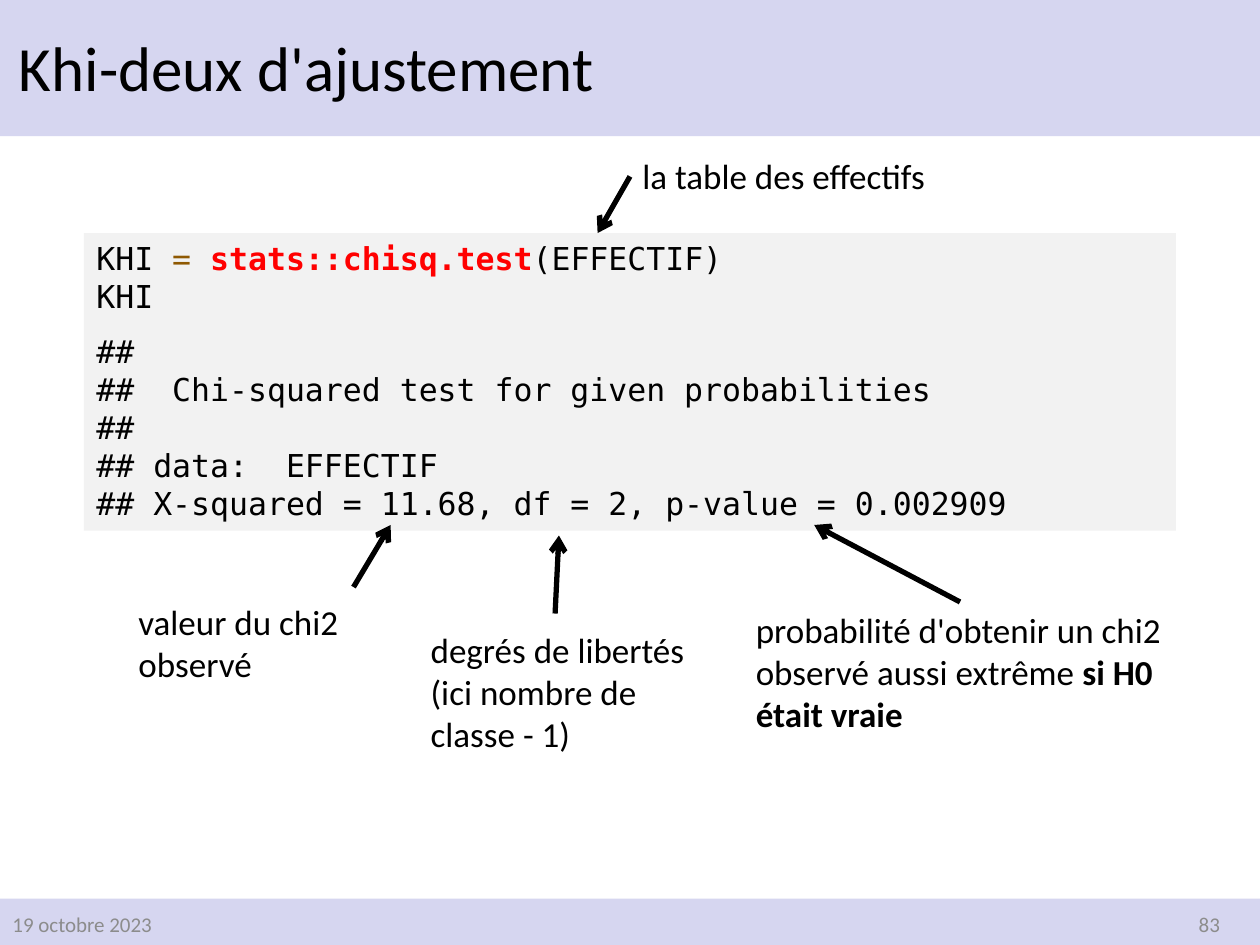
from dataclasses import dataclass

from lxml import etree
from pptx import Presentation
from pptx.dml.color import RGBColor
from pptx.enum.shapes import MSO_CONNECTOR, MSO_SHAPE
from pptx.enum.text import MSO_ANCHOR, PP_ALIGN
from pptx.oxml.ns import qn
from pptx.util import Pt

RECTANGLE = MSO_SHAPE.RECTANGLE
STRAIGHT = MSO_CONNECTOR.STRAIGHT
TOP, MIDDLE = MSO_ANCHOR.TOP, MSO_ANCHOR.MIDDLE
LEFT, RIGHT = PP_ALIGN.LEFT, PP_ALIGN.RIGHT
TITLE_ONLY = 5


@dataclass(frozen=True)
class Theme:
    font: str = "Calibri"
    code_font: str = "DejaVu Sans Mono"
    text: str = "000000"
    band: str = "D6D6F0"
    panel: str = "F2F2F2"
    footer: str = "8C8C8C"
    operator: str = "8F5902"
    function: str = "FF0000"
    title_size: int = 36
    note_size: int = 20
    code_size: int = 18
    footer_size: int = 12
    arrow_width: int = 3


THEME = Theme()
WIDTH, HEIGHT = 720, 540
HEADER_HEIGHT, FOOTER_TOP = 77.75, 513.5

TITLE = "Khi-deux d'ajustement"
TITLE_BOX = (3.6, 5, 618.5, 71.3)
BANDS = [(0, 0, WIDTH, HEADER_HEIGHT),
         (0, FOOTER_TOP, WIDTH, HEIGHT - FOOTER_TOP)]
FOOTERS = [("19 octobre 2023", 0, LEFT), ("83", 542.2, RIGHT)]
FOOTER_SIZE = (162, 28.75)

# Each paragraph is a list of lines, each line a list of (text, colour, bold).
CODE = [
    [[("KHI ", THEME.text, False), ("= ", THEME.operator, False),
      ("stats::chisq.test", THEME.function, True),
      ("(EFFECTIF)", THEME.text, False)],
     [("KHI", THEME.text, False)]],
    [[(line, THEME.text, False)] for line in (
        "##",
        "##  Chi-squared test for given probabilities",
        "##",
        "## data:  EFFECTIF",
        "## X-squared = 11.68, df = 2, p-value = 0.002909")],
]
CODE_BOX = (48, 133.2, 624, 170)

# Runs as (text, bold), box, wrap, arrow start, arrow end
NOTES = [
    ([("la table des effectifs", False)],
     (360, 85, 182, 31.5), False, (360, 100.8), (341.5, 133.2)),
    ([("probabilité d'obtenir un chi2 observé aussi extrême ", False),
      ("si H0 était vraie", True)],
     (424.8, 344, 247.7, 80), True, (548.6, 344), (465.3, 300)),
    ([("valeur du chi2 observé", False)],
     (72, 339.5, 197.3, 55.5), True, (202, 335.5), (223.2, 300)),
    ([("degrés de libertés (ici nombre de classe - 1)", False)],
     (239, 355.5, 178, 80), True, (317.2, 350.6), (319.4, 306)),
]


def points(values):
    return [Pt(value) for value in values]


def style(run, font, size, color, bold=False):
    run.font.name = font
    run.font.size = Pt(size)
    run.font.bold = bold
    run.font.color.rgb = RGBColor.from_string(color)


def add_panel(slide, box, color):
    shape = slide.shapes.add_shape(RECTANGLE, *points(box))
    shape.shadow.inherit = False
    shape.fill.solid()
    shape.fill.fore_color.rgb = RGBColor.from_string(color)
    shape.line.fill.background()
    return shape


def add_text(slide, runs, box, size, color, wrap=True, anchor=TOP, align=LEFT):
    frame = slide.shapes.add_textbox(*points(box)).text_frame
    frame.word_wrap = wrap
    frame.vertical_anchor = anchor
    paragraph = frame.paragraphs[0]
    paragraph.alignment = align
    for text, bold in runs:
        run = paragraph.add_run()
        run.text = text
        style(run, THEME.font, size, color, bold)


def add_arrow(slide, start, end):
    connector = slide.shapes.add_connector(STRAIGHT, *points(start + end))
    connector.line.width = Pt(THEME.arrow_width)
    connector.line.color.rgb = RGBColor.from_string(THEME.text)
    line = connector.line._get_or_add_ln()
    etree.SubElement(line, qn("a:tailEnd"), type="arrow")
    etree.SubElement(connector.element.spPr, qn("a:effectLst"))


def add_title(slide):
    title = slide.shapes.title
    title.left, title.top, title.width, title.height = points(TITLE_BOX)
    frame = title.text_frame
    frame.text = TITLE
    frame.word_wrap = True
    frame.vertical_anchor = MIDDLE
    paragraph = frame.paragraphs[0]
    paragraph.alignment = LEFT
    paragraph.line_spacing = 0.9
    style(paragraph.runs[0], THEME.font, THEME.title_size, THEME.text)
    for box in BANDS:
        # Bands go behind the title
        title.element.addprevious(add_panel(slide, box, THEME.band).element)


def add_code(slide):
    frame = add_panel(slide, CODE_BOX, THEME.panel).text_frame
    frame.word_wrap = True
    frame.vertical_anchor = TOP
    for index, lines in enumerate(CODE):
        paragraph = frame.add_paragraph() if index else frame.paragraphs[0]
        paragraph.alignment = LEFT
        paragraph.space_after = Pt(10)
        paragraph.font.size = Pt(THEME.code_size)
        for number, line in enumerate(lines):
            if number:
                paragraph.add_line_break()
            for text, color, bold in line:
                run = paragraph.add_run()
                run.text = text
                style(run, THEME.code_font, THEME.code_size, color, bold)


def main():
    presentation = Presentation()
    presentation.slide_width, presentation.slide_height = Pt(WIDTH), Pt(HEIGHT)
    slide = presentation.slides.add_slide(presentation.slide_layouts[TITLE_ONLY])
    add_title(slide)
    for text, left, align in FOOTERS:
        add_text(slide, [(text, False)], (left, FOOTER_TOP, *FOOTER_SIZE),
                 THEME.footer_size, THEME.footer, anchor=MIDDLE, align=align)
    add_code(slide)
    for runs, box, wrap, start, end in NOTES:
        add_text(slide, runs, box, THEME.note_size, THEME.text, wrap)
        add_arrow(slide, start, end)
    presentation.save("out.pptx")


if __name__ == "__main__":
    main()
